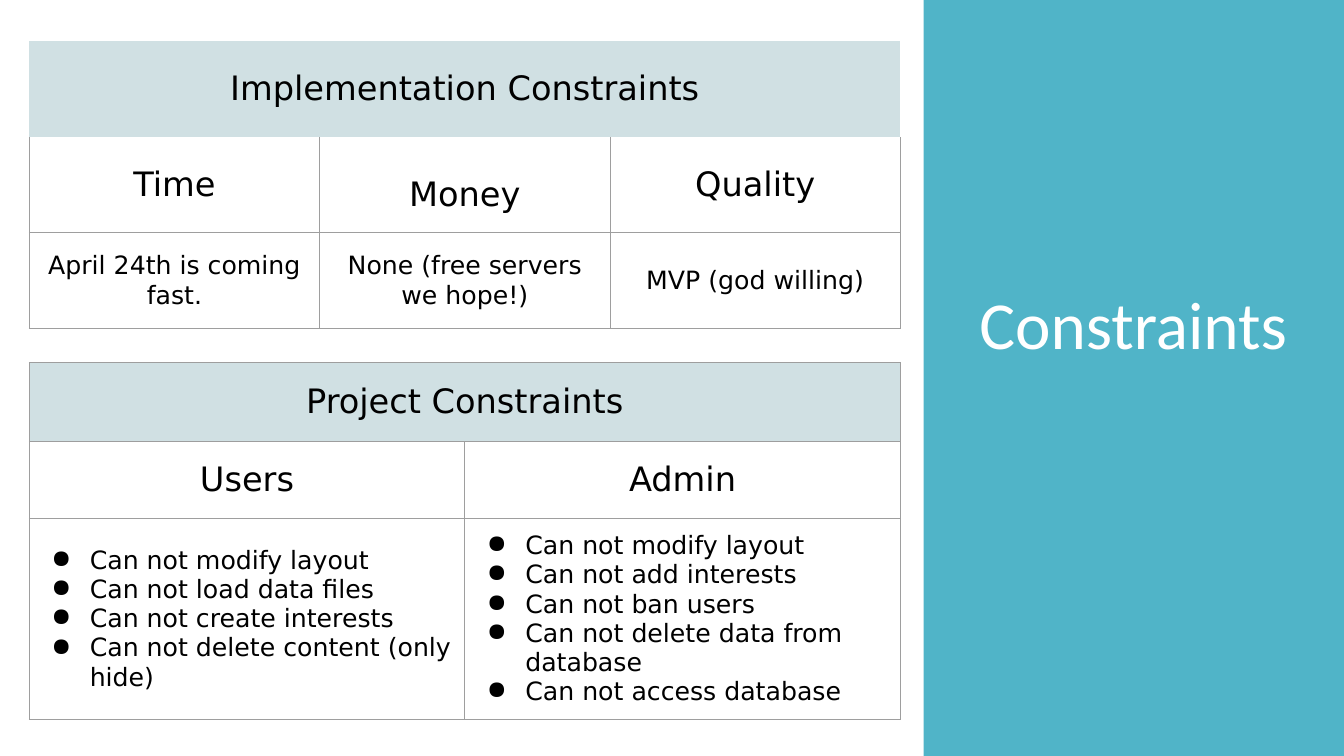
import pptx
import pptx.util
import pptx.dml.color
import pptx.enum.shapes
import pptx.enum.text
from lxml import etree
from pptx.oxml.ns import qn

Inches = pptx.util.Inches
Pt = pptx.util.Pt
RGBColor = pptx.dml.color.RGBColor
ALIGN = pptx.enum.text.PP_ALIGN
MIDDLE = pptx.enum.text.MSO_ANCHOR.MIDDLE

TEAL = RGBColor(0x50, 0xB4, 0xC8)
PALE = RGBColor(0xD0, 0xE0, 0xE3)
GREY = RGBColor(0x9E, 0x9E, 0x9E)
BLACK = RGBColor(0, 0, 0)
WHITE = RGBColor(0xFF, 0xFF, 0xFF)

LEFT = 0.29
WIDTH = 8.64
PAD = Inches(0.1)

USERS = [
    "Can not modify layout",
    "Can not load data files",
    "Can not create interests",
    "Can not delete content (only hide)",
]
ADMIN = [
    "Can not modify layout",
    "Can not add interests",
    "Can not ban users",
    "Can not delete data from database",
    "Can not access database",
]


def set_font(para, name, size, color):
    para.font.name = name
    para.font.size = Pt(size)
    para.font.color.rgb = color


def add_mark(para):
    """Give the paragraph a round bullet with a hanging indent."""
    props = para._p.get_or_add_pPr()
    props.set("marL", str(Inches(0.5)))
    props.set("indent", str(Inches(-0.38)))
    tint = etree.SubElement(props, qn("a:buClr"))
    etree.SubElement(tint, qn("a:srgbClr"), val=str(BLACK))
    etree.SubElement(props, qn("a:buChar"), char="●")


def set_edges(cell, sides):
    """Draw grey lines on the named sides (L, R, T, B) and none elsewhere."""
    props = cell._tc.get_or_add_tcPr()
    for side in "LRTB":
        line = etree.SubElement(props, qn(f"a:ln{side}"), w=str(Pt(0.75)))
        if side in sides:
            fill = etree.SubElement(line, qn("a:solidFill"))
            etree.SubElement(fill, qn("a:srgbClr"), val=str(GREY))
        else:
            etree.SubElement(line, qn("a:noFill"))


def fill_cell(cell, text, size):
    """Write a centred string, or a list as bullets."""
    cell.vertical_anchor = MIDDLE
    cell.margin_left = cell.margin_right = PAD
    cell.margin_top = cell.margin_bottom = PAD
    listed = isinstance(text, list)
    frame = cell.text_frame
    frame.text = "\n".join(text) if listed else text
    for para in frame.paragraphs:
        if listed:
            add_mark(para)
        else:
            para.alignment = ALIGN.CENTER
        set_font(para, "DejaVu Sans", size, BLACK)


def add_grid(slide, top, heights, title, heads, notes, edges):
    """Add a table with a merged title row; edges lists the sides per row."""
    count = len(heads)
    frame = slide.shapes.add_table(
        3, count, Inches(LEFT), Inches(top), Inches(WIDTH), Inches(sum(heights)))
    table = frame.table
    table.first_row = table.horz_banding = False
    for col in table.columns:
        col.width = Inches(WIDTH / count)
    for row, height, sides in zip(table.rows, heights, edges):
        row.height = Inches(height)
        for cell in row.cells:
            set_edges(cell, sides)
            cell.fill.background()
    header = table.cell(0, 0)
    header.merge(table.cell(0, count - 1))
    header.fill.solid()
    header.fill.fore_color.rgb = PALE
    fill_cell(header, title, 24)
    for col, (head, note) in enumerate(zip(heads, notes)):
        fill_cell(table.cell(1, col), head, 24)
        fill_cell(table.cell(2, col), note, 18)
    return table


def add_panel(slide):
    panel = slide.shapes.add_shape(
        pptx.enum.shapes.MSO_SHAPE.RECTANGLE,
        Inches(9.16), Inches(0), Inches(4.17), Inches(7.5))
    panel.shadow.inherit = False
    panel.fill.solid()
    panel.fill.fore_color.rgb = TEAL
    panel.line.fill.background()


def add_title(slide, text):
    box = slide.shapes.add_textbox(
        Inches(9.35), Inches(2.7), Inches(3.78), Inches(1.46))
    frame = box.text_frame
    frame.word_wrap = True
    frame.margin_left = frame.margin_right = PAD
    frame.margin_top = frame.margin_bottom = PAD
    frame.text = text
    para = frame.paragraphs[0]
    para.alignment = ALIGN.CENTER
    set_font(para, "Calibri", 48, WHITE)


def main():
    deck = pptx.Presentation()
    deck.slide_width = Inches(13.33)
    deck.slide_height = Inches(7.5)
    slide = deck.slides.add_slide(deck.slide_layouts[6])
    add_panel(slide)
    add_title(slide, "Constraints")
    limits = add_grid(
        slide, 0.41, [0.95] * 3, "Implementation Constraints",
        ["Time", "Money", "Quality"],
        ["April 24th is coming fast.", "None (free servers we hope!)",
         "MVP (god willing)"],
        ["", "LRB", "LRTB"])
    limits.cell(1, 1).text_frame.paragraphs[0].line_spacing = 1.5
    add_grid(
        slide, 3.6, [0.78, 0.76, 1.93], "Project Constraints",
        ["Users", "Admin"], [USERS, ADMIN], ["LRTB"] * 3)
    deck.save("out.pptx")


if __name__ == "__main__":
    main()
